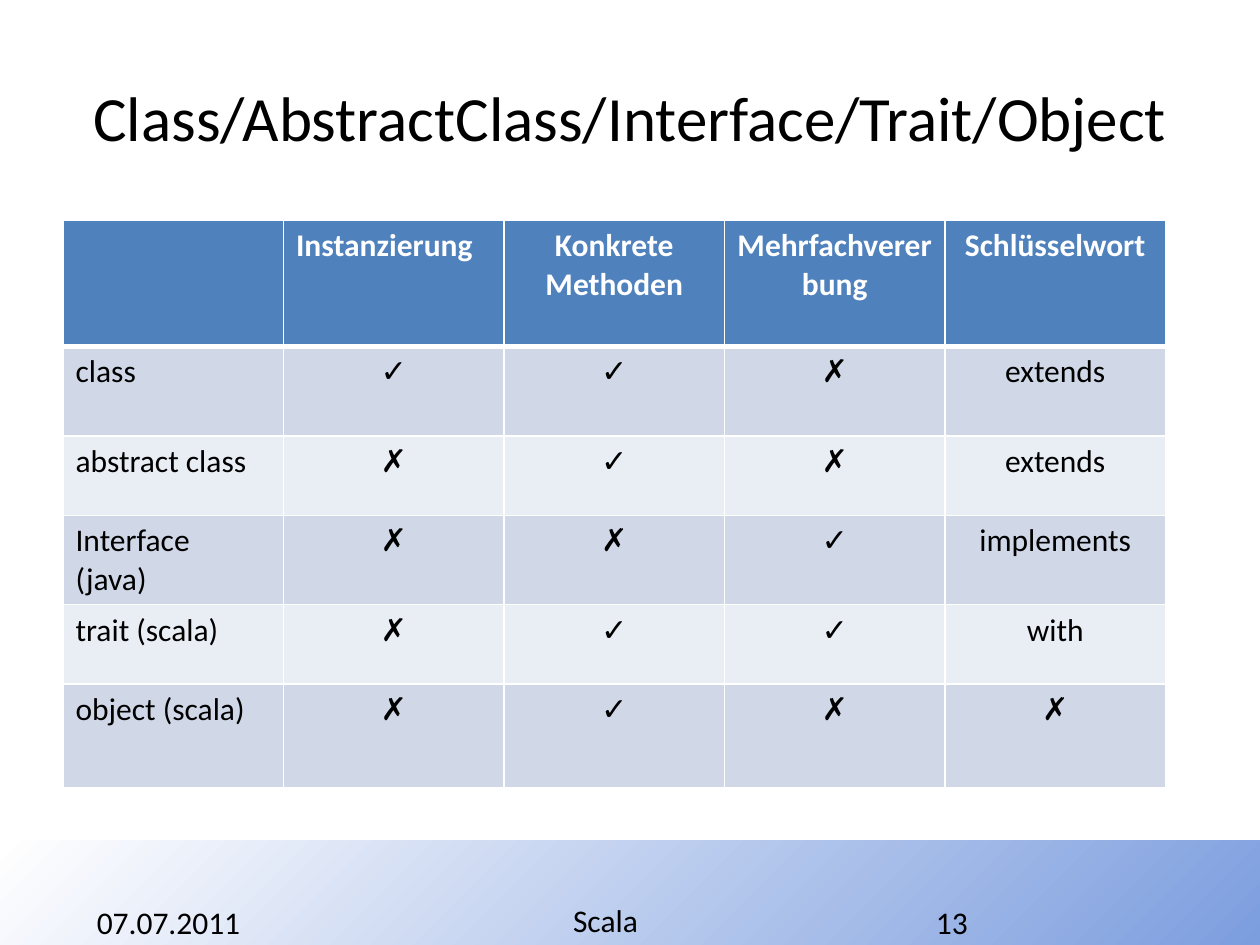
from lxml import etree
from pptx import Presentation, util as u
from pptx.dml.color import RGBColor
from pptx.enum import shapes, text
from pptx.oxml import parse_xml
from pptx.oxml.ns import nsdecls

FONT = "Calibri"
BLACK = RGBColor(0x00, 0x00, 0x00)
WHITE = RGBColor(0xFF, 0xFF, 0xFF)
HEADER_BLUE = RGBColor(0x4F, 0x81, 0xBD)
BANDS = (RGBColor(0xD0, 0xD8, 0xE8), RGBColor(0xE9, 0xED, 0xF4))
FOOTER_BLUE = RGBColor(0x7C, 0x9D, 0xDE)

YES, NO = "✓", "✗"
FEATURES = (
    ("", "Instanzierung", "Konkrete Methoden", "Mehrfachvererbung", "Schlüsselwort"),
    ("class", YES, YES, NO, "extends"),
    ("abstract class", NO, YES, NO, "extends"),
    ("Interface\n(java)", NO, NO, YES, "implements"),
    ("trait (scala)", NO, YES, YES, "with"),
    ("object (scala)", NO, YES, NO, NO),
)
ROW_HEIGHTS = (1.0, 0.71, 0.63, 0.71, 0.63, 0.82)


def inches(box):
    """Convert a box of numbers to lengths."""
    return [u.Inches(side) for side in box]


def write(frame, content, size=18, color=BLACK, bold=False, align=text.PP_ALIGN.LEFT):
    """Fill a text frame with one formatted run per line."""
    for index, line in enumerate(content.split("\n")):
        paragraph = frame.add_paragraph() if index else frame.paragraphs[0]
        paragraph.alignment = align
        run = paragraph.add_run()
        run.text = line
        run.font.name = FONT
        run.font.size = u.Pt(size)
        run.font.bold = bold
        run.font.color.rgb = color


def add_title(slide, box, content):
    """Place and format the title placeholder."""
    title = slide.shapes.title
    title.left, title.top, title.width, title.height = inches(box)
    title.text_frame.vertical_anchor = text.MSO_ANCHOR.MIDDLE
    write(title.text_frame, content, size=36, align=text.PP_ALIGN.CENTER)


def set_borders(cell, bottom_width, top_width):
    """Draw white lines around a cell."""
    properties = cell._tc.get_or_add_tcPr()
    widths = {"lnL": 1, "lnR": 1, "lnT": top_width, "lnB": bottom_width}
    for index, (side, width) in enumerate(widths.items()):
        properties.insert(index, parse_xml(
            f'<a:{side} {nsdecls("a")} w="{u.Pt(width)}"><a:solidFill>'
            f'<a:srgbClr val="{WHITE}"/></a:solidFill></a:{side}>'))


def add_feature_table(slide, box):
    """Add the feature comparison with a header and banded rows."""
    table = slide.shapes.add_table(len(FEATURES), len(FEATURES[0]), *inches(box)).table
    for column in table.columns:
        column.width = u.Inches(box[2] / len(FEATURES[0]))
    for row, (height, values) in enumerate(zip(ROW_HEIGHTS, FEATURES)):
        table.rows[row].height = u.Inches(height)
        header = row == 0
        for column, value in enumerate(values):
            cell = table.cell(row, column)
            cell.fill.solid()
            cell.fill.fore_color.rgb = HEADER_BLUE if header else BANDS[(row - 1) % 2]
            set_borders(cell, 3 if header else 1, 3 if row == 1 else 1)
            left = column == 0 or (header and column == 1)
            align = text.PP_ALIGN.LEFT if left else text.PP_ALIGN.CENTER
            if value:
                write(cell.text_frame, value, color=WHITE if header else BLACK,
                      bold=header, align=align)


def add_footer(slide, box):
    """Add the gradient band with date, topic and page number."""
    band = slide.shapes.add_shape(shapes.MSO_SHAPE.RECTANGLE, *inches(box))
    band.shadow.inherit = False
    band.line.fill.background()
    band.fill.gradient()
    for stop, color in zip(band.fill.gradient_stops, (FOOTER_BLUE, WHITE)):
        stop.color.rgb = color
    for position, stop in enumerate(band.fill.gradient_stops):
        stop.position = position
    gradient = band.fill._xPr.gradFill
    gradient.remove(gradient.lin)
    radial = etree.SubElement(gradient, gradient.tag.replace("gradFill", "path"), path="circle")
    etree.SubElement(radial, gradient.tag.replace("gradFill", "fillToRect"), l="100000", t="100000")
    left, top = box[:2]
    labels = (("07.07.2011", 0.67, 0.45, 2.33), ("Scala", 4.45, 0.43, 1.1),
              ("13", 7.33, 0.45, 2.33))
    for content, x, y, width in labels:
        label = slide.shapes.add_textbox(*inches((left + x, top + y, width, 0.4)))
        label.text_frame.word_wrap = True
        write(label.text_frame, content)


def main():
    """Build and save the slide."""
    deck = Presentation()
    deck.slide_width, deck.slide_height = u.Inches(10), u.Inches(7.5)
    slide = deck.slides.add_slide(deck.slide_layouts[5])
    add_footer(slide, (0, 6.67, 10, 0.83))
    add_title(slide, (0.5, 0.3, 9, 1.25), "Class/AbstractClass/Interface/Trait/Object")
    add_feature_table(slide, (0.5, 1.75, 8.75, sum(ROW_HEIGHTS)))
    deck.save("out.pptx")


if __name__ == "__main__":
    main()
